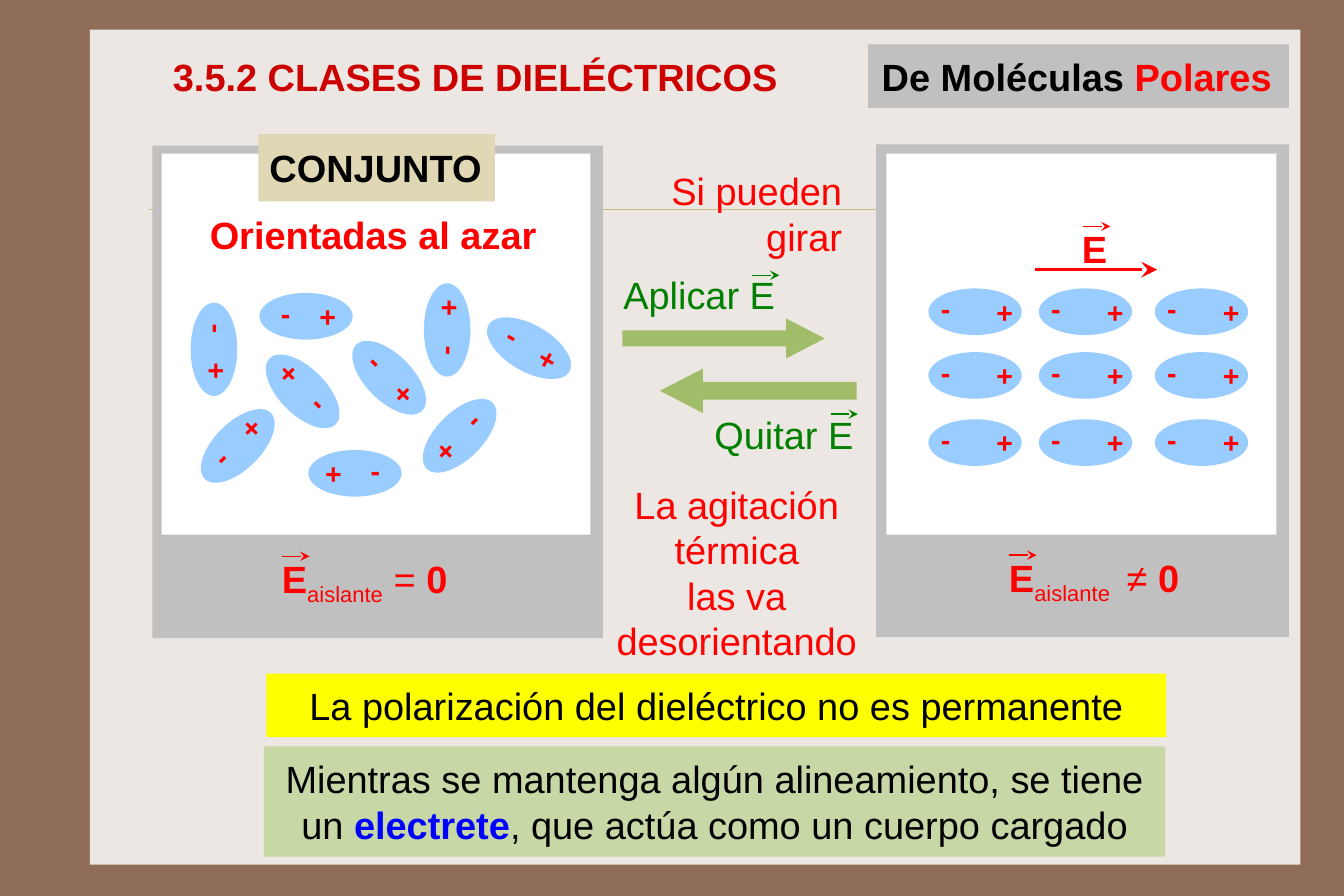
"""Builds the slide on dielectrics made of polar molecules."""
import math

import lxml.etree
import pptx
import pptx.dml.color
import pptx.enum.shapes
import pptx.enum.text
import pptx.oxml.ns
import pptx.util

Inches = pptx.util.Inches
RGBColor = pptx.dml.color.RGBColor
Shape = pptx.enum.shapes.MSO_SHAPE
Align = pptx.enum.text.PP_ALIGN
Anchor = pptx.enum.text.MSO_ANCHOR
qn = pptx.oxml.ns.qn

BROWN = RGBColor(0x90, 0x6D, 0x58)
CREAM = RGBColor(0xED, 0xE7, 0xE3)
SAND = RGBColor(0xCB, 0xBD, 0x83)
BEIGE = RGBColor(0xE0, 0xD7, 0xB5)
GREY = RGBColor(0xC0, 0xC0, 0xC0)
WHITE = RGBColor(0xFF, 0xFF, 0xFF)
BLACK = RGBColor(0, 0, 0)
SKY = RGBColor(0x99, 0xCC, 0xFF)
BLUE = RGBColor(0, 0, 0xFF)
RED = RGBColor(0xFF, 0, 0)
DARK_RED = RGBColor(0xCC, 0, 0)
GREEN = RGBColor(0, 0x80, 0)
OLIVE = RGBColor(0xA1, 0xBD, 0x69)
LIME = RGBColor(0xC7, 0xD7, 0xA5)
YELLOW = RGBColor(0xFF, 0xFF, 0)

ION_WIDTHS = {"+": 0.34, "-": 0.28}
ION_HEIGHT = 0.48
MOLECULE_SIZE = (0.82, 0.41)
MINUS_LIFT = 0.03
RANDOM_MOLECULES = [
    (2.69, 2.78, 0, 1, -1), (3.12, 4.16, 0, -1, -1),
    (3.93, 2.9, 270, 1, -1), (1.88, 3.07, 90, 1, 1),
    (3.42, 3.32, 45, 1, -1), (2.09, 3.92, 315, 1, 1),
    (2.66, 3.44, 45, -1, 1), (4.04, 3.83, 135, 1, 1),
    (4.65, 3.06, 30, 1, -1),
]
ALIGNED_COLUMNS = (8.57, 9.54, 10.56)
ALIGNED_ROWS = (2.74, 3.3, 3.89)


def write_text(shape, *paragraphs, size=24, color=BLACK, bold=False, align=Align.LEFT,
               anchor=Anchor.TOP, margins=(0.1, 0.09), wrap=True, spacing=None):
    """Fill a shape with paragraphs, each a string or a list of (text, overrides)."""
    frame = shape.text_frame
    frame.auto_size = pptx.enum.text.MSO_AUTO_SIZE.NONE
    frame.word_wrap = wrap
    frame.vertical_anchor = anchor
    frame.margin_left = frame.margin_right = Inches(margins[0])
    frame.margin_top = frame.margin_bottom = Inches(margins[1])
    for index, runs in enumerate(paragraphs):
        paragraph = frame.add_paragraph() if index else frame.paragraphs[0]
        paragraph.alignment = align
        if spacing:
            paragraph.line_spacing = spacing
        for words, changes in [(runs, {})] if isinstance(runs, str) else runs:
            run = paragraph.add_run()
            run.text = words
            run.font.name = "Arial"
            run.font.size = pptx.util.Pt(size)
            run.font.bold = changes.get("bold", bold)
            run.font.color.rgb = changes.get("color", color)
            if changes.get("subscript"):
                run._r.get_or_add_rPr().set("baseline", "-25000")


def add_label(slide, left, top, width, height, *paragraphs, rotation=0, flip=False,
              **text_format):
    """Add a text box."""
    label = slide.shapes.add_textbox(*map(Inches, (left, top, width, height)))
    label.rotation = rotation
    if flip:
        label.element.spPr.get_or_add_xfrm().set("flipV", "1")
    write_text(label, *paragraphs, **text_format)


def add_block(slide, left, top, width, height, fill, kind=Shape.RECTANGLE):
    """Add a flat preset shape without outline."""
    block = slide.shapes.add_shape(kind, *map(Inches, (left, top, width, height)))
    block.shadow.inherit = False
    block.fill.solid()
    block.fill.fore_color.rgb = fill
    block.line.fill.background()
    return block


def add_line(slide, left, top, length, color, weight, head="med"):
    """Add a horizontal line, by default with an arrowhead at its right end."""
    line = slide.shapes.add_connector(
        pptx.enum.shapes.MSO_CONNECTOR.STRAIGHT,
        *map(Inches, (left, top, left + length, top)))
    line.line.color.rgb = color
    line.line.width = pptx.util.Pt(weight)
    if head:
        outline = line.line._get_or_add_ln()
        lxml.etree.SubElement(outline, qn("a:tailEnd"), type="stealth", w=head, len=head)
    lxml.etree.SubElement(line._element.spPr, qn("a:effectLst"))


def add_vector_mark(slide, left, top, color=RED):
    """Draw the small arrow over a vector's letter."""
    add_line(slide, left, top, 0.24, color, 1)


def add_molecule(slide, x, y, angle=0, side=1, drift=-1, plus_reach=0.19, minus_reach=0.18):
    """Draw a polar molecule centred at x, y with its charges along its axis."""
    width, height = MOLECULE_SIZE
    body = add_block(slide, x - width / 2, y - height / 2, width, height, SKY, Shape.OVAL)
    body.rotation = angle
    cos, sin = math.cos(math.radians(angle)), math.sin(math.radians(angle))
    charges = (("+", side * plus_reach, 0), ("-", -side * minus_reach, drift * MINUS_LIFT))
    for sign, along, across in charges:
        sign_width = ION_WIDTHS[sign]
        add_label(slide, x + cos * along - sin * across - sign_width / 2,
                  y + sin * along + cos * across - ION_HEIGHT / 2,
                  sign_width, ION_HEIGHT, sign, rotation=angle, flip=drift > 0,
                  size=18, color=RED, bold=True, wrap=False)


def add_insulator_field(slide, left, top, subscript, relation):
    """Write the relation between the insulator's field and zero."""
    add_label(slide, left, top, 1.9, 0.51, [
        ("E", {"bold": True}), (subscript, {"subscript": True}),
        (relation, {}), ("0", {"bold": True})], color=RED)
    add_vector_mark(slide, left + 0.1, top + 0.1)


def add_field_step(slide, arrow_box, kind, label_box, words, mark):
    """Draw a block arrow with its caption about the external field."""
    arrow = add_block(slide, *arrow_box, OLIVE, kind)
    arrow.adjustments[0] = 0.4
    arrow.adjustments[1] = 0.97
    add_label(slide, *label_box, words, color=GREEN, wrap=False)
    add_vector_mark(slide, *mark, GREEN)


def add_banner(slide, left, top, width, height, fill, words, align=Align.CENTER, **text_format):
    """Add a filled box with vertically centred text."""
    banner = add_block(slide, left, top, width, height, fill)
    write_text(banner, words, align=align, anchor=Anchor.MIDDLE,
               margins=(0.12, 0.08), **text_format)


def add_title(slide):
    """Place the title above the background panel."""
    title = slide.shapes.title
    title.left, title.top, title.width, title.height = map(Inches, (1.41, 0.42, 9.46, 0.51))
    write_text(title, "3.5.2 CLASES DE DIELÉCTRICOS", color=DARK_RED, bold=True,
               anchor=Anchor.MIDDLE, margins=(0.11, 0.05))
    title.element.getparent().append(title.element)


def add_random_panel(slide):
    """Draw the molecules without an external field."""
    add_block(slide, 1.34, 1.28, 3.96, 4.33, GREY)
    add_block(slide, 1.42, 1.35, 3.77, 3.35, WHITE)
    for molecule in RANDOM_MOLECULES:
        add_molecule(slide, *molecule)
    heading = add_block(slide, 2.27, 1.18, 2.08, 0.59, BEIGE)
    write_text(heading, "CONJUNTO", bold=True, wrap=False)
    add_label(slide, 1.85, 1.94, 2.86, 0.33, "Orientadas al azar", color=RED, bold=True,
              align=Align.CENTER, wrap=False, spacing=0.5)
    add_insulator_field(slide, 2.38, 4.79, "aislante", " = ")


def add_aligned_panel(slide):
    """Draw the molecules lined up with an external field."""
    add_block(slide, 7.7, 1.27, 3.63, 4.33, GREY)
    add_block(slide, 7.79, 1.35, 3.43, 3.35, WHITE)
    add_line(slide, 9.1, 2.37, 1.07, RED, 2, head="lg")
    add_label(slide, 9.41, 1.89, 0.38, 0.51, "E", color=RED, bold=True, wrap=False)
    add_vector_mark(slide, 9.52, 1.99)
    for y in ALIGNED_ROWS:
        for x in ALIGNED_COLUMNS:
            add_molecule(slide, x, y, plus_reach=0.26, minus_reach=0.26)
    add_insulator_field(slide, 8.77, 4.78, "aislante ", " ≠ ")


def add_transition(slide):
    """Explain how the field is applied and removed."""
    add_label(slide, 5.36, 1.38, 2.14, 0.99, "Si pueden girar", color=RED,
              align=Align.RIGHT, anchor=Anchor.MIDDLE)
    add_field_step(slide, (5.47, 2.8, 1.78, 0.35), Shape.RIGHT_ARROW,
                   (5.38, 2.3, 1.55, 0.59), "Aplicar E", (6.61, 2.42))
    add_field_step(slide, (5.8, 3.24, 1.73, 0.39), Shape.LEFT_ARROW,
                   (6.18, 3.53, 1.43, 0.59), "Quitar E", (7.3, 3.64))
    add_label(slide, 5.18, 4.13, 2.59, 1.8, "La agitación térmica", "las va desorientando",
              color=RED, align=Align.CENTER, anchor=Anchor.MIDDLE)


def main():
    """Build and save the slide."""
    deck = pptx.Presentation()
    deck.slide_height = Inches(63) // 8
    deck.slide_width = deck.slide_height * 3 // 2
    slide = deck.slides.add_slide(deck.slide_layouts[5])
    slide.background.fill.solid()
    slide.background.fill.fore_color.rgb = BROWN
    add_block(slide, 0.79, 0.26, 10.64, 7.34, CREAM)
    add_line(slide, 1.31, 1.84, 9.91, SAND, 0.25, head=None)
    add_title(slide)
    add_random_panel(slide)
    add_aligned_panel(slide)
    add_transition(slide)
    add_banner(slide, 7.63, 0.39, 3.7, 0.56, GREY,
               [("De Moléculas ", {}), ("Polares", {"color": RED})],
               align=Align.LEFT, bold=True, wrap=False)
    add_banner(slide, 2.34, 5.92, 7.91, 0.56, YELLOW,
               "La polarización del dieléctrico no es permanente")
    add_banner(slide, 2.32, 6.56, 7.92, 0.97, LIME, [
        ("Mientras se mantenga algún alineamiento, se tiene un ", {}),
        ("electrete", {"color": BLUE, "bold": True}),
        (", que actúa como un cuerpo cargado", {})])
    deck.save("out.pptx")


if __name__ == "__main__":
    main()
